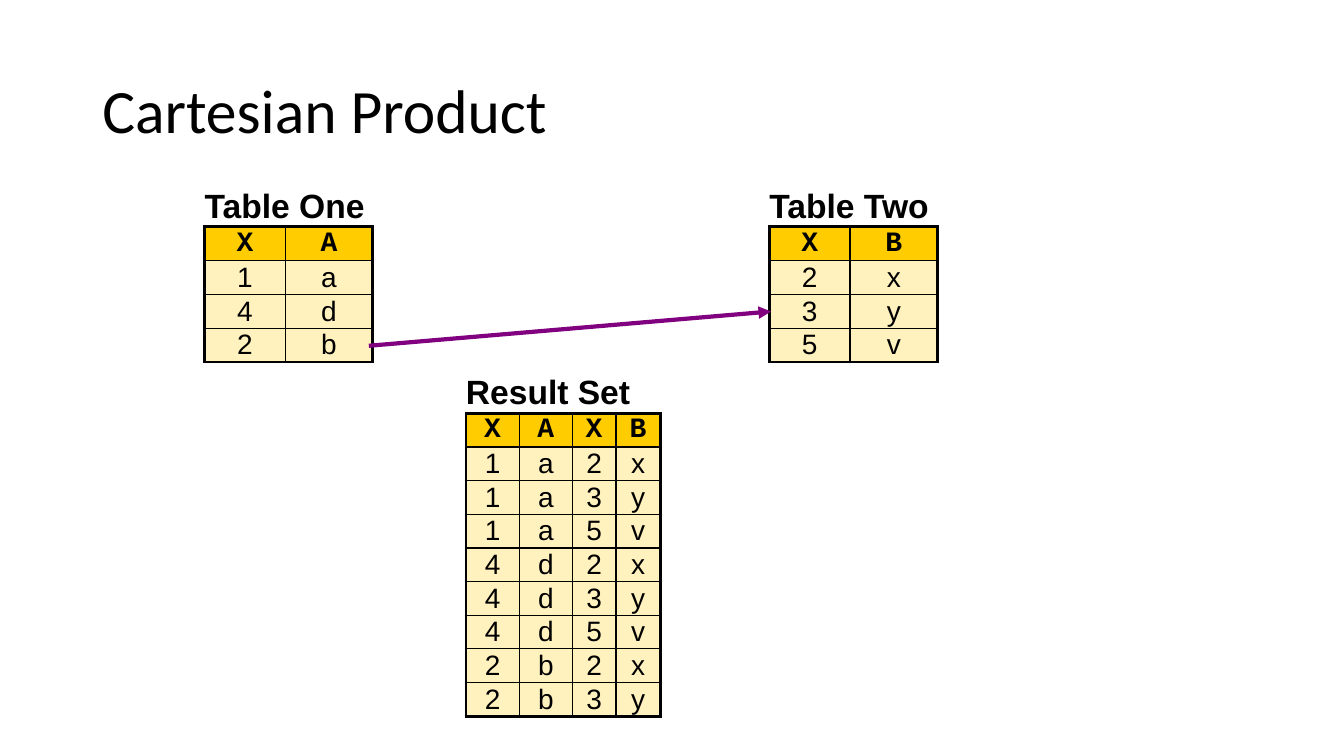
from itertools import product

from lxml import etree
from pptx import Presentation
from pptx.dml.color import RGBColor
from pptx.enum import shapes, text
from pptx.oxml import ns
from pptx.util import Pt

COLORS = {"ink": "000000", "header": "FFCC00", "body": "FFF2BE", "arrow": "800080"}
THICK, THIN = 2.25, 1


def write(frame, words, *, font, size, bold=False, align=text.PP_ALIGN.LEFT):
    para = frame.paragraphs[0]
    para.alignment = align
    span = para.add_run()
    span.text = words
    span.font.name = font
    span.font.size = Pt(size)
    span.font.bold = bold
    span.font.color.rgb = RGBColor.from_string(COLORS["ink"])
    return para


def set_borders(cell, **widths):
    """Draw the sides L, R, T and B in points; a width of 0 hides the side."""
    props = cell._tc.get_or_add_tcPr()
    for side in "LRTB":
        line = etree.SubElement(props, ns.qn(f"a:ln{side}"), w=str(int(Pt(widths[side]))))
        if widths[side]:
            fill = etree.SubElement(line, ns.qn("a:solidFill"))
            etree.SubElement(fill, ns.qn("a:srgbClr"), val=COLORS["ink"])
        else:
            etree.SubElement(line, ns.qn("a:noFill"))


deck = Presentation()
deck.slide_width, deck.slide_height = Pt(960), Pt(540)
page = deck.slides.add_slide(deck.slide_layouts[6])

# Title
box = page.shapes.add_textbox(Pt(66), Pt(28.8), Pt(828), Pt(104.4))
box.text_frame.word_wrap = True
box.text_frame.vertical_anchor = text.MSO_ANCHOR.MIDDLE
write(box.text_frame, "Cartesian Product", font="Calibri", size=44).line_spacing = 0.9

# Tables: the result pairs the rows of the first two, as far as the page has room
one = [("1", "a"), ("4", "d"), ("2", "b")]
two = [("2", "x"), ("3", "y"), ("5", "v")]
result = [left + right for left, right in product(one, two)][:8]
CAPTION_HEIGHT = 28.8
tables = [
    ("Table One", 146.2, 133.2, (57.6, 62.4), 24.15, [("X", "A"), *one]),
    ("Table Two", 549.6, 133.2, (57.6, 62.4), 24.15, [("X", "B"), *two]),
    ("Result Set", 332.8, 266.4, (38.2, 37.8, 31.2, 31.7), 24, [("X", "A", "X", "B"), *result]),
]

for caption, left, top, widths, row_height, rows in tables:
    last_row, last_col = len(rows) - 1, len(widths) - 1
    height = CAPTION_HEIGHT + row_height * len(rows)
    frame = page.shapes.add_table(len(rows) + 1, len(widths), Pt(left), Pt(top),
                                  Pt(sum(widths)), Pt(height))
    table = frame.table
    table.first_row = table.horz_banding = False
    for column, width in zip(table.columns, widths):
        column.width = Pt(width)
    for row in table.rows:
        row.height = Pt(row_height)
    table.rows[0].height = Pt(CAPTION_HEIGHT)

    for c in range(len(widths)):
        cell = table.cell(0, c)
        set_borders(cell, L=0, R=0, T=0, B=THICK)
        cell.fill.background()
    head = table.cell(0, 0)
    head.merge(table.cell(0, last_col))
    head.margin_left = head.margin_right = head.margin_top = head.margin_bottom = 0
    head.vertical_anchor = text.MSO_ANCHOR.MIDDLE
    write(head.text_frame, caption, font="Arial", size=24, bold=True)

    for r, values in enumerate(rows):
        is_header = r == 0
        for c, value in enumerate(values):
            cell = table.cell(r + 1, c)
            set_borders(cell,
                        L=THICK if c == 0 else THIN,
                        R=THICK if c == last_col else THIN,
                        T=THICK if is_header else THIN,
                        B=THICK if r == last_row else THIN)
            cell.fill.solid()
            cell.fill.fore_color.rgb = RGBColor.from_string(COLORS["header" if is_header else "body"])
            cell.margin_left = cell.margin_right = Pt(7.2)
            cell.margin_top = cell.margin_bottom = 0
            cell.vertical_anchor = text.MSO_ANCHOR.MIDDLE
            write(cell.text_frame, value, font="Courier New" if is_header else "Arial",
                  size=20, bold=is_header, align=text.PP_ALIGN.CENTER)

# Arrow from the last row of Table One to the matching step in Table Two
arrow = page.shapes.add_connector(shapes.MSO_CONNECTOR.STRAIGHT,
                                  Pt(263.5), Pt(247), Pt(550.8), Pt(222.5))
arrow.line.width = Pt(3)
arrow.line.color.rgb = RGBColor.from_string(COLORS["arrow"])
etree.SubElement(arrow.line._get_or_add_ln(), ns.qn("a:tailEnd"), type="triangle")
etree.SubElement(arrow._element.spPr, ns.qn("a:effectLst"))

deck.save("out.pptx")
